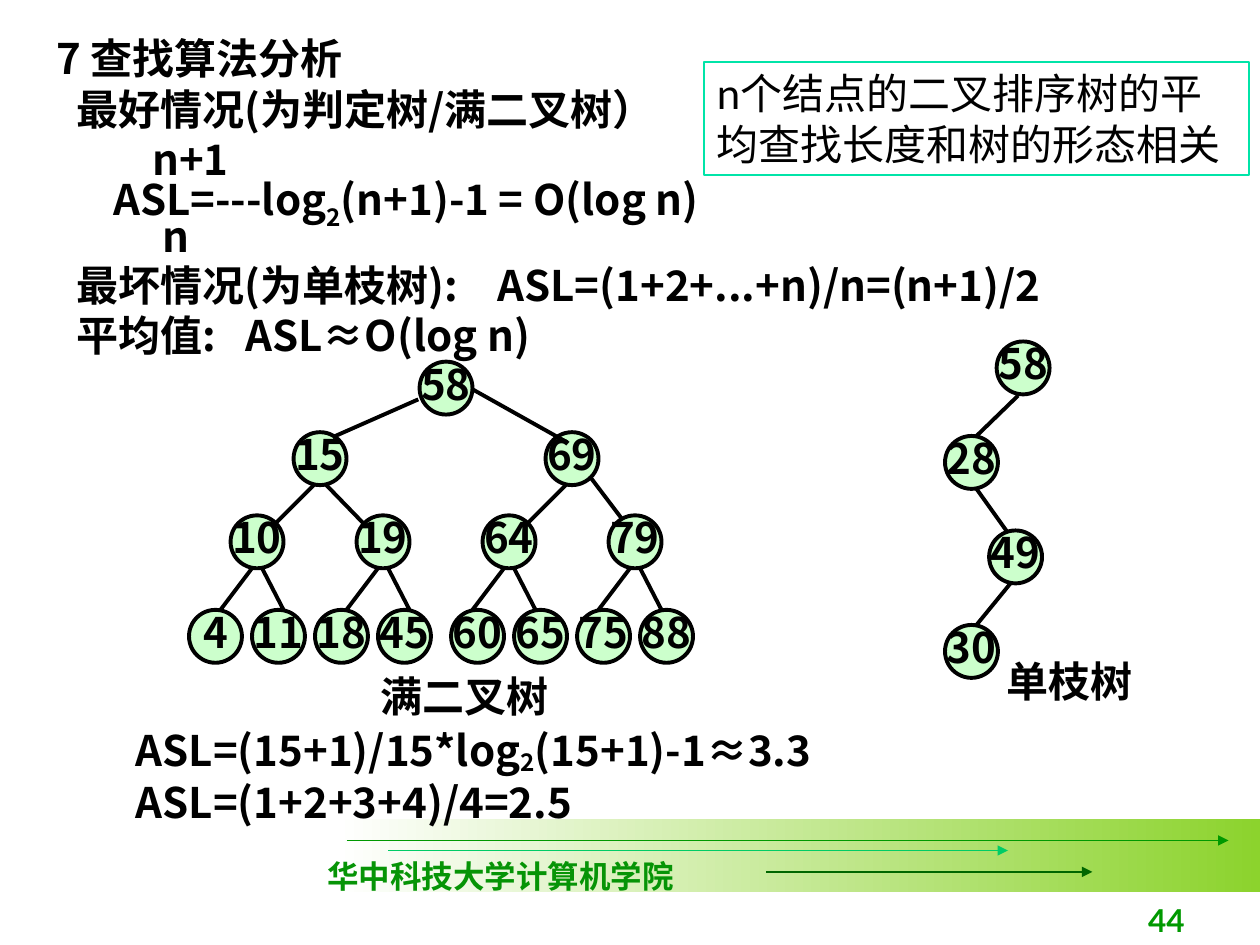
from dataclasses import dataclass

from lxml import etree
from pptx import Presentation
from pptx import util as u
from pptx.dml.color import RGBColor
from pptx.enum import shapes, text
from pptx.oxml import ns


@dataclass(frozen=True)
class Theme:
    black: str = "000000"
    node: str = "CCFFCC"
    frame: str = "00E4A8"
    green: str = "009900"
    mint: str = "00CC66"
    forest: str = "006600"
    school: str = "069406"
    white: str = "FFFFFF"
    lime: str = "8CD32D"
    body: int = 24
    small: int = 18
    cjk: str = "Noto Sans CJK SC"
    latin: str = "Lato"
    serif: str = "Times New Roman"


T = Theme()


def write(p, pieces, font=T.cjk, size=T.body, color=T.black, bold=True):
    for words, baseline in pieces:
        r = p.add_run()
        r.text = words
        r.font.name = font
        r.font.size = u.Pt(size)
        r.font.bold = bold
        r.font.color.rgb = RGBColor.from_string(color)
        r_pr = r.font._element
        etree.SubElement(r_pr, ns.qn("a:ea")).set("typeface", T.cjk)
        if baseline:
            r_pr.set("baseline", str(baseline * 1000))


def draw_line(s, ends, color, width, arrow=False):
    line = s.shapes.add_connector(shapes.MSO_CONNECTOR.STRAIGHT, *map(u.Inches, ends))
    line.line.color.rgb = RGBColor.from_string(color)
    line.line.width = u.Pt(width)
    if arrow:
        etree.SubElement(line.line._get_or_add_ln(), ns.qn("a:tailEnd")).set("type", "triangle")
    etree.SubElement(line._element.spPr, ns.qn("a:effectLst"))


prs = Presentation()
prs.slide_width, prs.slide_height = u.Inches(10), u.Inches(7.5)
s = prs.slides.add_slide(prs.slide_layouts[6])

band = s.shapes.add_shape(shapes.MSO_SHAPE.RECTANGLE, *map(u.Inches, (2.67, 6.5, 7.33, 0.58)))
band.shadow.inherit = False
band.line.fill.background()
band.fill.gradient()
band.fill.gradient_angle = 0
for stop, position, color in zip(band.fill.gradient_stops, (0, 1), (T.white, T.lime)):
    stop.position = position
    stop.color.rgb = RGBColor.from_string(color)

for x1, x2, y, color in (
    (2.75, 9.75, 6.67, T.green),
    (3.08, 8, 6.75, T.mint),
    (6.08, 8.67, 6.92, T.forest),
):
    draw_line(s, (x1, y, x2, y), color, 0.75, arrow=True)

chain = [("58", 7.91, 2.71), ("28", 7.5, 3.46), ("49", 7.85, 4.21), ("30", 7.5, 4.96)]
full_tree = [("58", 3.33, 2.87), ("15", 2.33, 3.43), ("69", 4.33, 3.43)]
parents = list(zip(("10", "19", "64", "79"), (1.83, 2.83, 3.83, 4.83)))
full_tree += [(key, x, 4.09) for key, x in parents]
leaf_keys = ("4", "11", "18", "45", "60", "65", "75", "88")
full_tree += [
    (key, (1.5 if i < 4 else 1.58) + 0.5 * i, 4.84) for i, key in enumerate(leaf_keys)
]

for key, x, y in chain + full_tree:
    node = s.shapes.add_shape(shapes.MSO_SHAPE.OVAL, *map(u.Inches, (x, y, 0.42, 0.42)))
    node.shadow.inherit = False
    node.fill.solid()
    node.fill.fore_color.rgb = RGBColor.from_string(T.node)
    node.line.color.rgb = RGBColor.from_string(T.black)
    node.line.width = u.Pt(2.25)
    tf = node.text_frame
    tf.word_wrap = False
    tf.vertical_anchor = text.MSO_ANCHOR.MIDDLE
    p = tf.paragraphs[0]
    p.alignment = text.PP_ALIGN.CENTER
    p.line_spacing = 0.8
    write(p, [(key, 0)])

edges = [
    (8.08, 3.14, 7.75, 3.46),
    (7.75, 3.88, 8, 4.23),
    (8.02, 4.63, 7.75, 4.96),
    (3.32, 3.17, 2.64, 3.47),
    (3.75, 3.09, 4.5, 3.51),
    (2.5, 3.84, 2.16, 4.18),
    (2.58, 3.84, 2.91, 4.18),
    (4.5, 3.84, 4.16, 4.18),
    (4.68, 3.78, 4.93, 4.11),
]
for key, x in parents:
    edges += [(x + 0.17, 4.51, x - 0.08, 4.84), (x + 0.25, 4.51, x + 0.42, 4.84)]
for ends in edges:
    draw_line(s, ends, T.black, 2.25)

for words, box, font, size, color in (
    ("满二叉树", (2.92, 5.27, 1.53, 0.5), T.cjk, T.body, T.black),
    ("单枝树", (7.89, 5.15, 1.2, 0.5), T.cjk, T.body, T.black),
    ("华中科技大学计算机学院", (2.5, 6.75, 2.95, 0.4), T.serif, T.small, T.school),
):
    label = s.shapes.add_textbox(*map(u.Inches, box))
    label.text_frame.word_wrap = False
    write(label.text_frame.paragraphs[0], [(words, 0)], font, size, color)

number = s.shapes.add_textbox(*map(u.Inches, (7.42, 7, 2.08, 0.5)))
tf = number.text_frame
tf.word_wrap = True
tf.vertical_anchor = text.MSO_ANCHOR.BOTTOM
tf.paragraphs[0].alignment = text.PP_ALIGN.RIGHT
write(tf.paragraphs[0], [("44", 0)], T.latin, T.small, T.green)

analysis = [
    (0, 1, None, [("7 查找算法分析", 0)]),
    (0.16, 1, None, [("最好情况(为判定树/满二叉树）", 0)]),
    (0.76, 1, None, [("n+1", 0)]),
    (0.45, 0.7, None, [("ASL=---log", 0), ("2", -25), ("(n+1)-1 = O(log n)", 0)]),
    (0.84, 0.7, None, [("n", 0)]),
    (0.16, 1, 3.57, [("最坏情况(为单枝树):\tASL=(1+2+...+n)/n=(n+1)/2", 0)]),
    (0.16, 1, 1.57, [("平均值:\tASL≈O(log n)", 0)]),
]
results = [
    (0, 1, None, [("ASL=(15+1)/15*log", 0), ("2", -12), ("(15+1)-1≈3.3", 0)]),
    (0, 1, None, [("ASL=(1+2+3+4)/4=2.5", 0)]),
]
for box, paragraphs in (
    ((0.35, 0.21, 8.9, 2.7), analysis),
    ((0.98, 5.7, 8.96, 0.91), results),
):
    tf = s.shapes.add_textbox(*map(u.Inches, box)).text_frame
    tf.word_wrap = True
    for i, (indent, spacing, tab, pieces) in enumerate(paragraphs):
        p = tf.add_paragraph() if i else tf.paragraphs[0]
        p.line_spacing = spacing
        p_pr = p._p.get_or_add_pPr()
        p_pr.set("marL", "0")
        p_pr.set("indent", str(u.Inches(indent)))
        if tab:
            tabs = etree.SubElement(p_pr, ns.qn("a:tabLst"))
            etree.SubElement(tabs, ns.qn("a:tab"), pos=str(u.Inches(tab)), algn="l")
        write(p, pieces)

note = s.shapes.add_shape(shapes.MSO_SHAPE.RECTANGLE, *map(u.Inches, (5.59, 0.49, 4.32, 0.9)))
note.shadow.inherit = False
note.fill.background()
note.line.color.rgb = RGBColor.from_string(T.frame)
note.line.width = u.Pt(1.25)
tf = note.text_frame
tf.word_wrap = True
tf.vertical_anchor = text.MSO_ANCHOR.TOP
tf.paragraphs[0].alignment = text.PP_ALIGN.LEFT
write(
    tf.paragraphs[0],
    [("n个结点的二叉排序树的平均查找长度和树的形态相关", 0)],
    font=T.latin,
    bold=False,
)

prs.save("out.pptx")
